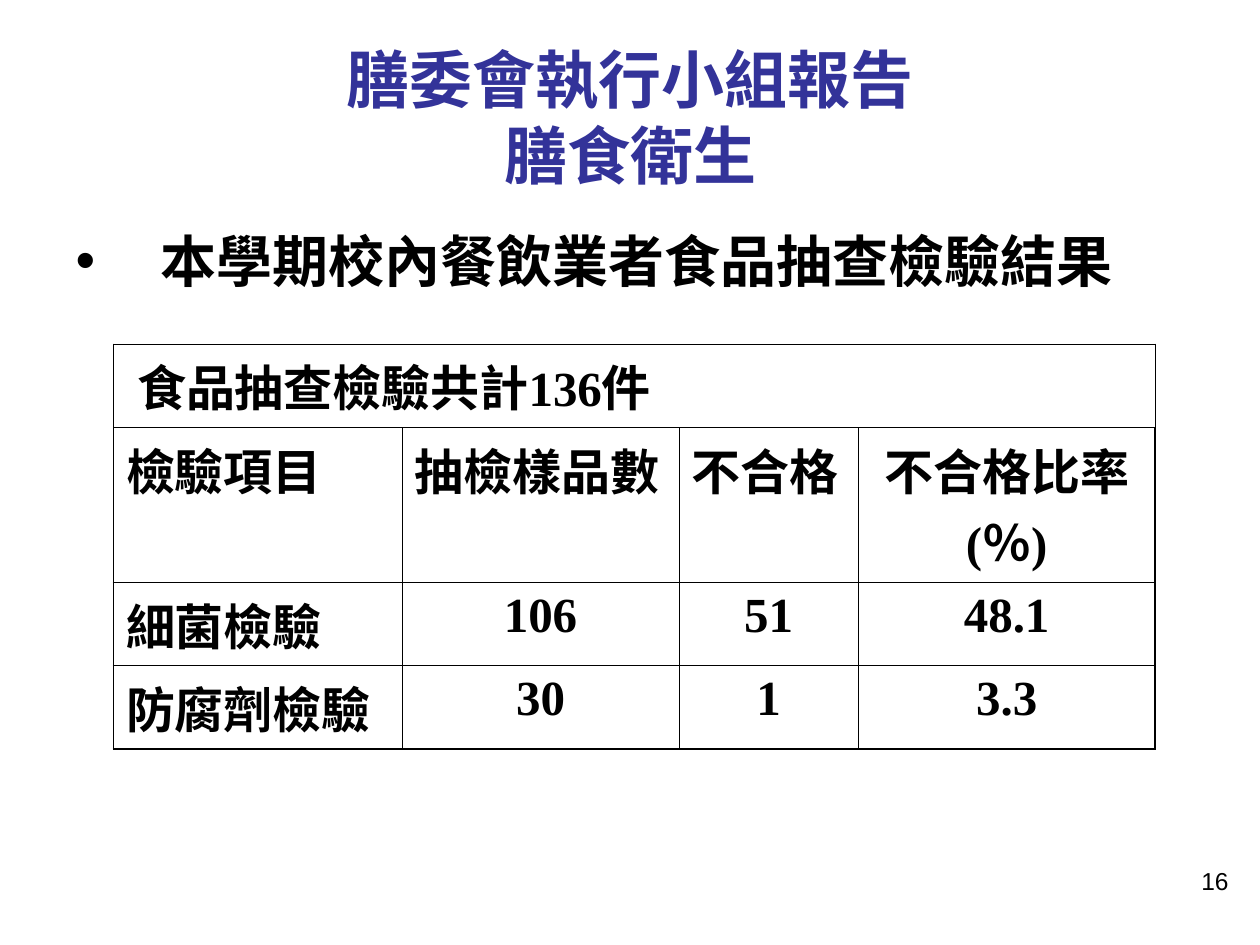
from lxml.etree import SubElement as Sub
from pptx import Presentation
from pptx.dml.color import RGBColor as Rgb
from pptx.enum.text import MSO_ANCHOR as Anchor, MSO_AUTO_SIZE as Fit, PP_ALIGN as Align
from pptx.oxml.ns import qn
from pptx.util import Inches, Pt

HUES = {"ink": "000000", "head": "333399"}
UNIT = 0.25
THIN, THICK = 0.45, 1.08


def span(count):
    return Inches(count * UNIT)


class Deck:
    def __init__(self):
        self.show = Presentation()
        self.show.slide_width, self.show.slide_height = span(40), span(30)
        self.slide = self.show.slides.add_slide(self.show.slide_layouts[1])

    def place(self, shape, *box):
        shape.left, shape.top, shape.width, shape.height = map(span, box)
        frame = shape.text_frame
        frame.word_wrap = True
        frame.auto_size = Fit.NONE
        return frame

    def fill(self, para, text, size, font="Arial", hue="ink", bold=True,
             align=Align.LEFT, gap=0):
        para.alignment = align
        para.space_before = Pt(gap)
        for row, line in enumerate(text.split("\n")):
            if row:
                para.add_line_break()
            run = para.add_run()
            run.text = line
            run.font.name, run.font.size, run.font.bold = font, Pt(size), bold
            run.font.color.rgb = Rgb.from_string(HUES[hue])

    def title(self, text, *box):
        frame = self.place(self.slide.shapes.title, *box)
        frame.vertical_anchor = Anchor.MIDDLE
        self.fill(frame.paragraphs[0], text, 36, hue="head", align=Align.CENTER)

    def bullets(self, items, *box):
        frame = self.place(self.slide.placeholders[1], *box)
        for row, text in enumerate(items):
            para = frame.add_paragraph() if row else frame.paragraphs[0]
            self.fill(para, text, 32, gap=8)
            props = para._p.get_or_add_pPr()
            props.set("marL", str(Inches(0.67)))
            props.set("indent", str(-Inches(0.67)))
            tint = Sub(Sub(props, qn("a:buClr")), qn("a:srgbClr"))
            tint.set("val", HUES["ink"])
            Sub(props, qn("a:buFont")).set("typeface", "Arial")
            Sub(props, qn("a:buChar")).set("char", "•")

    def note(self, text, *box):
        frame = self.place(self.slide.shapes.add_textbox(0, 0, 0, 0), *box)
        self.fill(frame.paragraphs[0], text, 14, bold=False, align=Align.RIGHT)

    def edge(self, cell, sides):
        props = cell._tc.get_or_add_tcPr()
        for spot, (side, width) in enumerate(sides.items()):
            line = Sub(props, qn(f"a:ln{side}"), w=str(Pt(width)))
            tint = Sub(Sub(line, qn("a:solidFill")), qn("a:srgbClr"))
            tint.set("val", HUES["ink"])
            props.insert(spot, line)

    def table(self, data, left, top, wide, high):
        frame = self.slide.shapes.add_table(
            len(data), len(wide), span(left), span(top),
            span(sum(wide)), span(sum(high)))
        grid = frame.table
        grid.first_row = grid.horz_banding = False
        for col, width in zip(grid.columns, wide):
            col.width = span(width)
        for row, height in zip(grid.rows, high):
            row.height = span(height)
        last, end = len(data) - 1, len(wide) - 1
        grid.cell(0, 0).merge(grid.cell(0, end))
        for r, line in enumerate(data):
            for c in range(len(wide)):
                cell = grid.cell(r, c)
                cell.fill.background()
                self.edge(cell, {
                    "L": THICK if r and c == 0 else THIN,
                    "R": THICK if r and c == end else THIN,
                    "T": THIN,
                    "B": THICK if r == last else THIN})
                if c < len(line):
                    mid = c == end or (r > 1 and c > 0)
                    self.fill(cell.text_frame.paragraphs[0], line[c], 28,
                              "Times New Roman", gap=7,
                              align=Align.CENTER if mid else Align.LEFT)


def main():
    deck = Deck()
    deck.title("膳委會執行小組報告\n膳食衛生", 2, 1.2, 36, 5)
    deck.bullets(["本學期校內餐飲業者食品抽查檢驗結果"], 2, 7, 35.32, 3.28)
    deck.table([
        [" 食品抽查檢驗共計136件"],
        ["檢驗項目", "抽檢樣品數", "不合格", "不合格比率(％)"],
        ["細菌檢驗", "106", "51", "48.1"],
        ["防腐劑檢驗", "30", "1", "3.3"],
    ], 3.6, 10.92, [9.16, 8.8, 5.68, 9.44], [2.64, 4.92, 2.64, 2.64])
    deck.note("16", 30.08, 27.28, 9.32, 2.08)
    deck.show.save("out.pptx")


if __name__ == "__main__":
    main()
